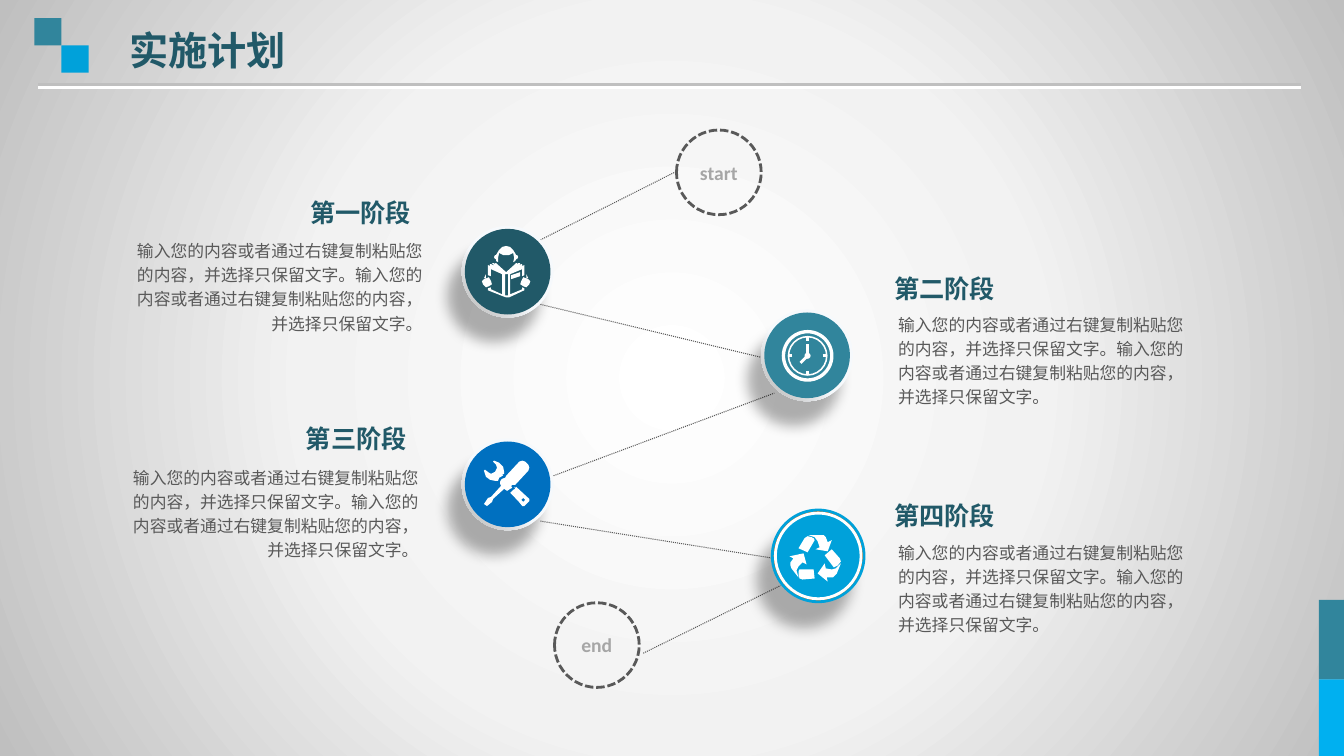
from lxml import etree
from pptx import Presentation
from pptx.dml.color import RGBColor
from pptx.enum.dml import MSO_LINE
from pptx.enum.shapes import MSO_CONNECTOR, MSO_SHAPE
from pptx.enum.text import MSO_ANCHOR, PP_ALIGN
from pptx.oxml import parse_xml
from pptx.oxml.ns import nsdecls, qn
from pptx.util import Pt

PX = 9144
RECT, OVAL = MSO_SHAPE.RECTANGLE, MSO_SHAPE.OVAL
STRAIGHT = MSO_CONNECTOR.STRAIGHT
DASH, DOT = MSO_LINE.SQUARE_DOT, MSO_LINE.ROUND_DOT
LEFT, CENTER, RIGHT = PP_ALIGN.LEFT, PP_ALIGN.CENTER, PP_ALIGN.RIGHT
TOP, MIDDLE = MSO_ANCHOR.TOP, MSO_ANCHOR.MIDDLE
CJK = "Noto Sans CJK SC"

COLORS = {
    "white": "FFFFFF", "mist": "F2F2F2", "silver": "BFBFBF", "rim": "F6F9FC",
    "edge": "A6A6A6", "gray": "595959", "black": "000000", "navy": "215968",
    "teal": "31859C", "sky": "00A1DA", "cyan": "00B0F0", "blue": "0070C0",
    "orange": "E46C0A",
}
BODY = "输入您的内容或者通过右键复制粘贴您的内容，并选择只保留文字。" * 2

READER = [
    "501,272 501,293 502,293 504,293 504,272 502,272",
    "507,273 516,270 516,274 507,277",
    "490,266 486,264 486,262 487,262 491,264 488,261 490,261 492,263 491,261 492,261 502,270 "
    "512,261 513,261 513,262 512,263 514,261 516,261 515,263 513,264 517,262 518,262 518,264 "
    "513,266 520,263 520,273 518,274 518,267 506,272 506,292 518,287 518,285 520,286 520,288 "
    "505,295 502,295 499,294 484,288 484,286 487,285 487,287 498,292 498,272 487,267 487,274 "
    "484,273 484,263",
    "485,275 487,279 488,282 485,284 482,285 479,282 478,279 480,277",
    "480,276 482,276 482,272",
    "519,275 517,279 516,282 519,284 522,285 525,282 526,279 524,277",
    "524,276 522,276 522,272",
    "502,244 506,245 509,248 512,253 513,253 514,255 513,257 512,257 511,259 509,260 510,256 "
    "509,251 505,253 499,253 495,251 494,256 494,260 492,259 492,257 491,257 490,255 491,253 "
    "492,253 495,248 498,245",
]
TOOLS = [
    "519,494 521,496 519,498 517,496",
    "524,461 521,458 518,457 515,458 502,472 501,474 498,475 497,476 496,478 496,480 497,482 "
    "487,493 484,494 480,500 483,502 488,498 489,495 500,485 503,487 506,485 508,484 507,482 "
    "508,481 510,481 511,481 524,467 525,464",
    "497,473 498,472 499,472 498,471 500,470 500,468 499,463 495,459 490,457 489,458 492,461 "
    "493,464 491,468 487,470 485,469 481,466 480,467 482,473 486,476 491,477 494,477 495,474",
    "510,483 511,485 509,486 506,489 514,497 518,502 520,502 525,497 525,495 512,483 511,484",
]
RECYCLE = [
    "790,566 792,562 796,558 800,560 797,549 783,552 787,554 784,558 784,561 785,564 792,573",
    "807,565 793,565 792,567 792,570 793,574 796,575 808,574",
    "808,533 811,537 813,543 809,545 821,547 825,536 821,538 819,533 817,531 813,531 802,531",
    "801,548 808,536 807,534 805,533 801,532 798,534 792,544",
    "829,564 825,565 819,564 818,559 811,569 821,577 820,573 826,573 830,569 834,559",
    "818,551 827,563 831,561 834,557 833,554 825,545",
]


def rgb(name):
    return RGBColor.from_string(COLORS[name])


def draw_shape(shapes, kind, box, fill=None, line=None, width=2):
    shape = shapes.add_shape(kind, *(value * PX for value in box))
    shape.shadow.inherit = False
    if fill:
        shape.fill.solid()
        shape.fill.fore_color.rgb = rgb(fill)
    else:
        shape.fill.background()
    if line:
        shape.line.color.rgb = rgb(line)
        shape.line.width = Pt(width)
    else:
        shape.line.fill.background()
    return shape


def draw_line(shapes, start, end, color, width, dash=None):
    line = shapes.add_connector(STRAIGHT, *(value * PX for value in start + end))
    line.line.color.rgb = rgb(color)
    line.line.width = Pt(width)
    if dash:
        line.line.dash_style = dash
    etree.SubElement(line._element.spPr, qn("a:effectLst"))
    return line


def add_shadow(shape, color, alpha, blur, distance, angle):
    effects = shape._element.spPr.find(qn("a:effectLst"))
    effects.append(parse_xml(
        f'<a:outerShdw {nsdecls("a")} blurRad="{Pt(blur)}" dist="{Pt(distance)}" '
        f'dir="{angle * 60000}" algn="ctr" rotWithShape="0"><a:srgbClr val="{COLORS[color]}">'
        f'<a:alpha val="{alpha * 1000}"/></a:srgbClr></a:outerShdw>'))


def set_gradient(shape, stops, direction):
    marks = "".join(f'<a:gs pos="{place * 1000}"><a:srgbClr val="{COLORS[name]}"/></a:gs>'
                    for place, name in stops)
    properties = shape._element.spPr
    properties.replace(properties.find(qn("a:solidFill")), parse_xml(
        f'<a:gradFill {nsdecls("a")} rotWithShape="1"><a:gsLst>{marks}</a:gsLst>'
        f'{direction}</a:gradFill>'))


def write_text(shape, text, size, color, bold=True, font=CJK, align=LEFT, anchor=TOP, spacing=None):
    frame = shape.text_frame
    frame.word_wrap = True
    frame.vertical_anchor = anchor
    para = frame.paragraphs[0]
    para.text = text
    para.alignment = align
    if spacing:
        para.line_spacing = spacing
    para.font.name = font
    para.font.size = Pt(size)
    para.font.bold = bold
    para.font.color.rgb = rgb(color)
    etree.SubElement(para.font._element, qn("a:ea")).set("typeface", CJK)


def add_text(page, box, text, size, color, **style):
    write_text(page.shapes.add_textbox(*(value * PX for value in box)), text, size, color, **style)


def add_backdrop(page):
    backdrop = draw_shape(page.shapes, RECT, (0, 0, 1333, 750), "white")
    set_gradient(backdrop, [(0, "white"), (48, "mist"), (100, "silver")],
                 '<a:path path="circle"><a:fillToRect l="50000" t="50000" r="50000" b="50000"/></a:path>')
    page.shapes._spTree.insert(2, backdrop._element)
    for box, color in [((1308, 595, 25, 79), "teal"), ((1308, 674, 25, 76), "cyan"),
                       ((34, 18, 27, 27), "teal"), ((61, 45, 27, 27), "sky")]:
        draw_shape(page.shapes, RECT, box, color)
    rule = draw_line(page.shapes, (38, 84), (1290, 84), "silver", 2.25)
    add_shadow(rule, "white", 100, 0, 2, 90)


def add_title(page, text):
    title = page.shapes.title
    title.left, title.top, title.width, title.height = (value * PX for value in (118, 21, 291, 57))
    write_text(title, text, 28, "navy")


def add_terminal(page, left, top, text):
    circle = draw_shape(page.shapes, OVAL, (left, top, 84, 84), line="gray")
    circle.line.dash_style = DASH
    write_text(circle, text, 14, "edge", font="Calibri", align=CENTER, anchor=MIDDLE)


def add_stage(page, heading, heading_at, body_at, heading_align, body_align):
    add_text(page, body_at + (311, 105), BODY, 12, "gray", bold=False, font="Arial",
             align=body_align, spacing=1.2)
    add_text(page, heading_at + (207, 53), heading, 18, "navy", align=heading_align, anchor=MIDDLE)


def add_badge(page, left, top, color, ringed=False):
    shapes = page.shapes.add_group_shape().shapes
    rim = draw_shape(shapes, OVAL, (left, top, 91, 91), "orange", "sky" if ringed else None)
    if not ringed:
        set_gradient(rim, [(57, "rim"), (92, "silver"), (100, "edge")], '<a:lin ang="8100000" scaled="0"/>')
    add_shadow(rim, "black", 31, 10, 20, 120)
    draw_shape(shapes, OVAL, (left + 3, top + 3, 85, 85), color, "white" if ringed else None)
    return shapes


def draw_icon(shapes, outlines):
    contours = [[tuple(map(int, point.split(","))) for point in outline.split()] for outline in outlines]
    builder = shapes.build_freeform(*contours[0][0], scale=PX)
    for contour in contours:
        builder.move_to(*contour[0])
        builder.add_line_segments(contour[1:], close=True)
    icon = builder.convert_to_shape()
    icon.shadow.inherit = False
    icon.fill.solid()
    icon.fill.fore_color.rgb = rgb("white")
    icon.line.fill.background()


def draw_clock(shapes, x, y):
    for radius, width in [(24, 2.4), (19, 1.1)]:
        draw_shape(shapes, OVAL, (x - radius, y - radius, 2 * radius, 2 * radius), line="white", width=width)
    for across, down in [(0, -1), (0, 1), (-1, 0), (1, 0)]:
        draw_line(shapes, (x + 15 * across, y + 15 * down), (x + 19 * across, y + 19 * down), "white", 2)
    draw_shape(shapes, OVAL, (x - 3, y - 3, 6, 6), "white")
    for tip in [(x, y - 12), (x - 7, y + 7)]:
        draw_line(shapes, (x, y), tip, "white", 2)


def main():
    deck = Presentation()
    deck.slide_width, deck.slide_height = 1333 * PX, 750 * PX
    page = deck.slides.add_slide(deck.slide_layouts[5])
    add_backdrop(page)
    add_title(page, "实施计划")
    add_terminal(page, 671, 129, "start")
    for start, end in [((536, 238), (671, 170)), ((536, 302), (757, 355)), ((549, 472), (768, 390)),
                       ((536, 517), (768, 554)), ((638, 648), (774, 581))]:
        draw_line(page.shapes, start, end, "gray", 0.75, DOT)
    add_terminal(page, 550, 598, "end")
    add_stage(page, "第一阶段", (254, 184), (118, 230), CENTER, RIGHT)
    add_stage(page, "第二阶段", (877, 260), (881, 303), LEFT, LEFT)
    add_stage(page, "第三阶段", (250, 408), (114, 455), CENTER, RIGHT)
    add_stage(page, "第四阶段", (877, 485), (881, 529), LEFT, LEFT)
    draw_clock(add_badge(page, 755, 307, "teal"), 801, 353)
    draw_icon(add_badge(page, 458, 224, "navy"), READER)
    draw_icon(add_badge(page, 458, 435, "blue"), TOOLS)
    draw_icon(add_badge(page, 766, 506, "sky", ringed=True), RECYCLE)
    deck.save("out.pptx")


if __name__ == "__main__":
    main()
